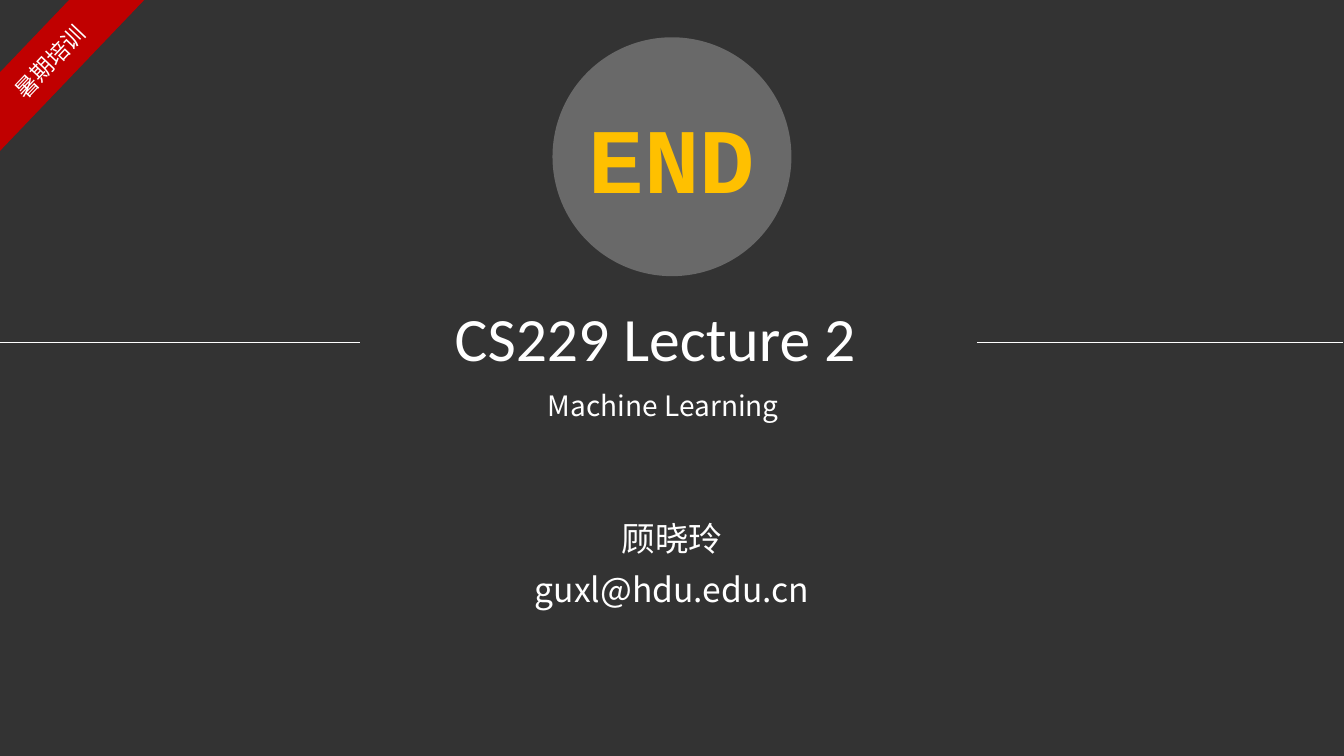
from lxml import etree
from pptx import Presentation
from pptx.dml.color import RGBColor
from pptx.enum.shapes import MSO_CONNECTOR, MSO_SHAPE
from pptx.enum.text import MSO_ANCHOR, MSO_AUTO_SIZE, PP_ALIGN
from pptx.oxml.ns import qn
from pptx.util import Inches, Pt

DARK = RGBColor(0x33, 0x33, 0x33)
GREY = RGBColor(0x80, 0x80, 0x80)
RED = RGBColor(0xC0, 0x00, 0x00)
GOLD = RGBColor(0xFF, 0xC0, 0x00)
WHITE = RGBColor(0xFF, 0xFF, 0xFF)
SANS = "Noto Sans CJK SC"
LEFT, CENTER = PP_ALIGN.LEFT, PP_ALIGN.CENTER
TOP, MIDDLE = MSO_ANCHOR.TOP, MSO_ANCHOR.MIDDLE
GROW = MSO_AUTO_SIZE.SHAPE_TO_FIT_TEXT
STRAIGHT = MSO_CONNECTOR.STRAIGHT
OVAL, STRIPE = MSO_SHAPE.OVAL, MSO_SHAPE.DIAGONAL_STRIPE


def place(shape, x, y, w, h):
    """Move and size a shape in inches."""
    shape.left, shape.top = Inches(x), Inches(y)
    shape.width, shape.height = Inches(w), Inches(h)


def write(slide, text, box, size, font=SANS, color=WHITE, bold=False,
          align=CENTER, anchor=TOP, space=1.0, turn=0, shape=None):
    """Put formatted text into a given shape or a new text box."""
    shape = shape or slide.shapes.add_textbox(0, 0, 0, 0)
    frame = shape.text_frame
    frame.text = text
    frame.word_wrap = False
    frame.auto_size = GROW
    frame.vertical_anchor = anchor
    place(shape, *box)
    shape.rotation = turn
    for para in frame.paragraphs:
        para.alignment = align
        para.line_spacing = space
        for run in para.runs:
            run.font.name = font
            run.font.size = Pt(size)
            run.font.bold = bold
            run.font.color.rgb = color
            latin = run.font._element.find(qn("a:latin"))
            east = etree.Element(qn("a:ea"), typeface=font)
            latin.addnext(east)


def add_form(slide, kind, box, color):
    """Add a plain filled shape."""
    form = slide.shapes.add_shape(kind, *map(Inches, box))
    form.shadow.inherit = False
    form.fill.solid()
    form.fill.fore_color.rgb = color
    form.line.fill.background()
    return form


def add_badge(slide, x, y, size):
    """Draw the translucent disc with its closing word."""
    disc = add_form(slide, OVAL, (x, y, size, size), GREY)
    tint = disc._element.spPr.find(qn("a:solidFill"))[0]
    etree.SubElement(tint, qn("a:alpha"), val="70000")
    write(slide, "END", (x + 0.25, y + 0.58, 1.87, 1.21), 66,
          font="Courier New", color=GOLD, bold=True, anchor=MIDDLE)


def add_ribbon(slide, x, y, w, h):
    """Draw the corner ribbon and its slanted label."""
    add_form(slide, STRIPE, (x, y, w, h), RED)
    write(slide, "暑期培训", (x + 0.01, y + 0.42, 1.1, 0.37), 16,
          align=LEFT, turn=313.5)


def add_rule(slide, x, y, w):
    """Draw a thin level line."""
    rule = slide.shapes.add_connector(
        STRAIGHT, Inches(x), Inches(y), Inches(x + w), Inches(y))
    rule.line.color.rgb = WHITE
    rule.line.width = Pt(0.5)
    etree.SubElement(rule._element.spPr, qn("a:effectLst"))


def add_heading(slide, x, y, w):
    """Set the title, its flanking lines and the subject below."""
    for start in (x, x + w - 3.63):
        add_rule(slide, start, y + 0.47, 3.63)
    write(slide, "CS229 Lecture 2", (x + 4.47, y, 4.36, 0.84), 44,
          font="Calibri", align=LEFT, shape=slide.shapes.title)
    write(slide, "Machine Learning", (x + 5.34, y + 0.88, 2.6, 0.44), 20)


def add_author(slide, x, y, w, h):
    """Write the name and address of the speaker."""
    write(slide, "顾晓玲\nguxl@hdu.edu.cn", (x, y, w, h), 24, space=1.25)


def main():
    """Build the closing slide."""
    deck = Presentation()
    deck.slide_width, deck.slide_height = Inches(13.33), Inches(7.5)
    slide = deck.slides.add_slide(deck.slide_layouts[5])
    slide.background.fill.solid()
    slide.background.fill.fore_color.rgb = DARK
    add_badge(slide, 5.48, 0.37, 2.37)
    add_ribbon(slide, -0.06, 0, 1.49, 1.56)
    add_heading(slide, -0.06, 2.93, 13.38)
    add_author(slide, 5.16, 4.99, 3.01, 1.11)
    deck.save("out.pptx")


if __name__ == "__main__":
    main()
